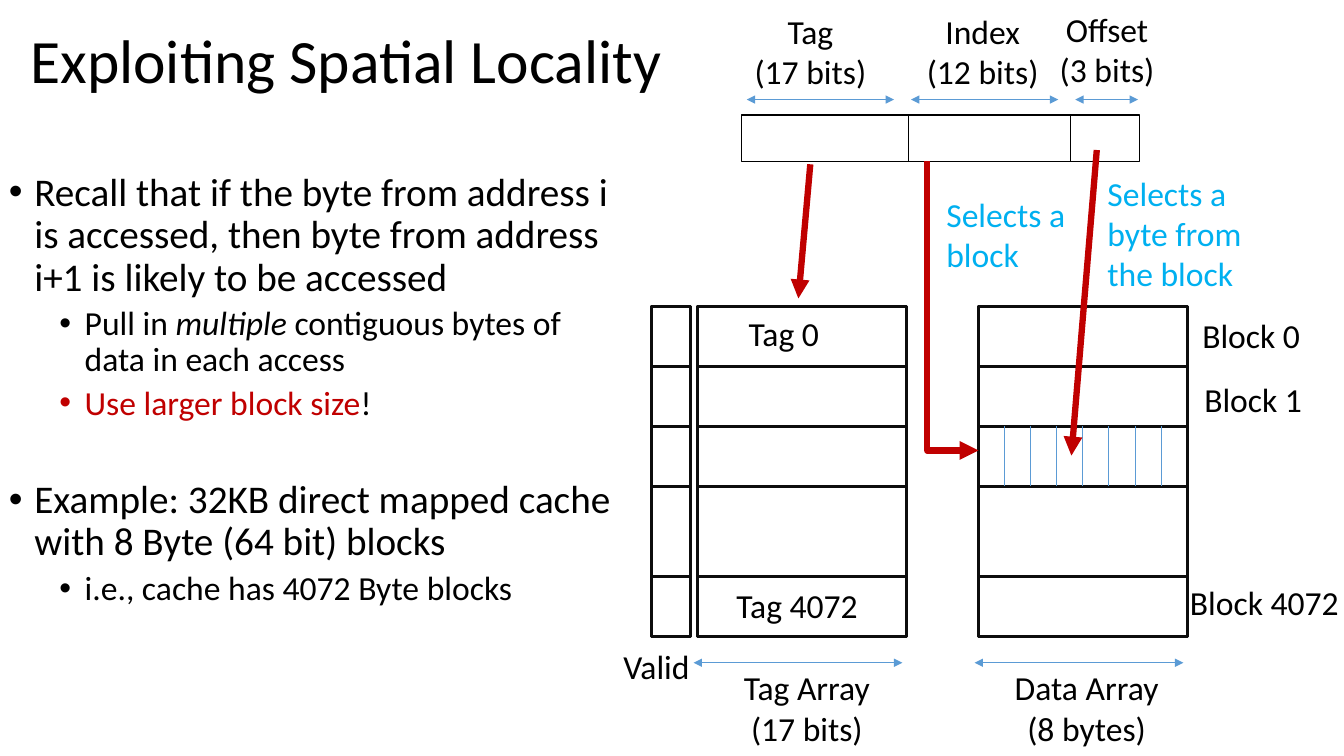
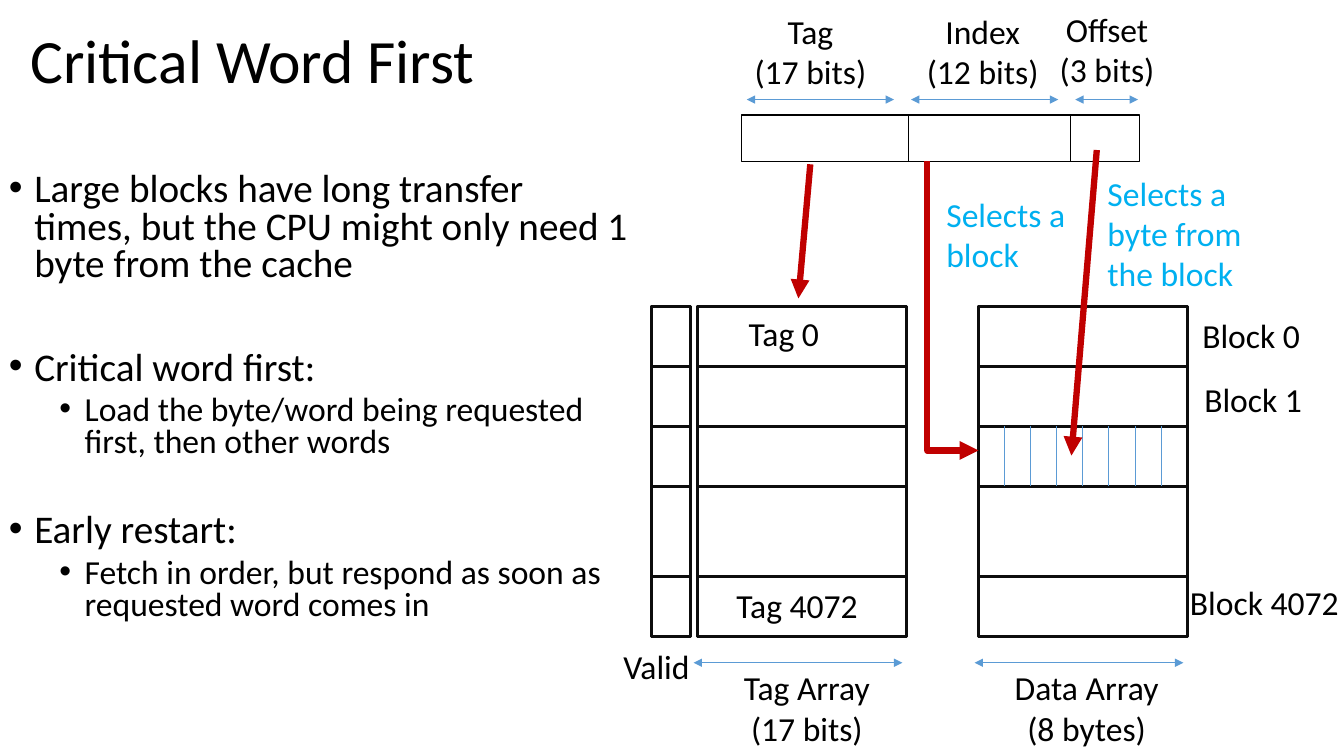
import pptx
import pptx.util
import pptx.dml.color
import pptx.enum.shapes
import pptx.enum.text
import pptx.oxml
import pptx.oxml.ns

Cm, Pt = pptx.util.Cm, pptx.util.Pt
SHAPES = pptx.enum.shapes
TEXT = pptx.enum.text

# Shared style
COLORS = {"text": "000000", "cell": "0D0D0D", "thin": "5B9BD5",
          "strong": "C00000", "note": "00B0F0"}
FONT = "Calibri"
TITLE_SIZE, LABEL_SIZE = 44, 24
# Per list level: size, space before in points, indent in cm
LEVELS = [(28, 10, 0.64), (24, 5, 1.91)]
HANGING = 0.64

# Slide content: (level, extra space before in points, [(text, emphasis)])
SLIDES = [
    {"title": "Exploiting Spatial Locality", "spacing": 0.9, "points": [
        (0, 0, [("Recall that if the byte from address i is accessed, then byte "
                 "from address i+1 is likely to be accessed", "")]),
        (1, 0, [("Pull in ", ""), ("multiple ", "italic"),
                ("contiguous bytes of data in each access", "")]),
        (1, 0, [("Use larger block size", "strong"), ("!", "")]),
        (0, 31, [("Example: 32KB direct mapped cache with 8 Byte (64 bit) blocks", "")]),
        (1, 0, [("i.e., cache has 4072 Byte blocks", "")]),
    ]},
    {"title": "Critical Word First", "spacing": 0.8, "points": [
        (0, 0, [("Large blocks have long transfer times, but the CPU might only "
                 "need 1 byte from the cache", "")]),
        (0, 37, [("Critical word first:", "")]),
        (1, 0, [("Load the byte/word being requested first, then other words", "")]),
        (0, 28, [("Early restart:", "")]),
        (1, 0, [("Fetch in order, but respond as soon as requested word comes in", "")]),
    ]},
]

# Diagram content, in cm: text, left, top, width, height
CAPTIONS = [
    ("Tag\n(17 bits)", 18.75, 0.15, 3.35, 2.31),
    ("Index\n(12 bits)", 23.09, 0.15, 3.35, 2.31),
    ("Offset\n(3 bits)", 26.44, 0.1, 2.92, 2.31),
    ("Tag Array\n(17 bits)", 18.47, 16.69, 3.73, 2.31),
    ("Data Array\n(8 bytes)", 25.3, 16.69, 4.17, 2.31),
    ("Valid", 15.44, 16.15, 2.21, 1.27),
]
ROW_LABELS = [
    ("Block 0", 30.05, 7.8, 3.3, 1.27),
    ("Block 1", 30.1, 9.42, 3.3, 1.27),
    ("Block 4072", 29.74, 14.55, 4.29, 1.27),
    ("Tag 0", 18.62, 7.75, 3.3, 1.27),
    ("Tag 4072", 18.31, 14.61, 3.94, 1.27),
]
NOTES = [
    ("Selects a byte from the block", 27.66, 4.22, 4.5, 3.33),
    ("Selects a block", 23.6, 4.75, 4.5, 2.31),
]
ADDRESS_FIELDS = [(18.69, 2.9, 10.03, 1.17), (22.89, 2.9, 4.09, 1.17)]
FIELD_SPANS, FIELD_SPAN_Y = [(18.82, 22.53), (22.96, 26.67), (27.1, 28.68)], 2.51
ARRAYS = {"valid": (16.41, 0.99), "tag": (17.58, 5.26), "data": (24.66, 5.26)}
ARRAY_TOP, ARRAY_HEIGHT, ROW_HEIGHT, ROW_PITCH = 7.72, 8.33, 1.52, 1.51
ARRAY_SPAN_Y = 16.7
BYTES_PER_BLOCK, FIRST_BYTE_X, BYTE_WIDTH = 8, 25.3, 0.66
LOOKUPS = [(20.42, 4.14, 20.12, 7.52), (27.64, 3.78, 27.0, 11.48)]
INDEX_LOOKUP = (23.37, 4.06, 24.66, 11.35)


def rgb(name):
    return pptx.dml.color.RGBColor.from_string(COLORS[name])


def style_run(run, size, color="text"):
    run.font.name, run.font.size = FONT, Pt(size)
    run.font.color.rgb = rgb(color)


def place(part, left, top, width, height):
    part.left, part.top, part.width, part.height = map(Cm, (left, top, width, height))


def add_bullet(paragraph, level):
    props = paragraph._p.get_or_add_pPr()
    props.set("marL", str(Cm(LEVELS[level][2])))
    props.set("indent", str(-Cm(HANGING)))
    ns = pptx.oxml.ns.nsdecls("a")
    props.append(pptx.oxml.parse_xml(f'<a:buFont {ns} typeface="Arial"/>'))
    props.append(pptx.oxml.parse_xml(f'<a:buChar {ns} char="•"/>'))


def fill_title(title, text):
    frame = title.text_frame
    frame.text = text
    frame.auto_size = TEXT.MSO_AUTO_SIZE.NONE
    frame.vertical_anchor = TEXT.MSO_ANCHOR.MIDDLE
    heading = frame.paragraphs[0]
    heading.alignment, heading.line_spacing = TEXT.PP_ALIGN.LEFT, 0.9
    style_run(heading.runs[0], TITLE_SIZE)


def fill_points(body, points, spacing):
    frame = body.text_frame
    frame.auto_size = TEXT.MSO_AUTO_SIZE.NONE
    for number, (level, gap, pieces) in enumerate(points):
        paragraph = frame.add_paragraph() if number else frame.paragraphs[0]
        size, before, _ = LEVELS[level]
        paragraph.level, paragraph.line_spacing = level, spacing
        paragraph.space_before = Pt(before + gap)
        add_bullet(paragraph, level)
        for text, emphasis in pieces:
            run = paragraph.add_run()
            run.text = text
            style_run(run, size, "strong" if emphasis == "strong" else "text")
            if emphasis == "italic":
                run.font.italic = True


def add_label(slide, text, left, top, width, height, color="text", centered=False):
    label = slide.shapes.add_textbox(*map(Cm, (left, top, width, height)))
    frame = label.text_frame
    frame.text = text
    frame.word_wrap = not centered
    frame.auto_size = TEXT.MSO_AUTO_SIZE.SHAPE_TO_FIT_TEXT
    for paragraph in frame.paragraphs:
        if centered:
            paragraph.alignment = TEXT.PP_ALIGN.CENTER
        for run in paragraph.runs:
            style_run(run, LABEL_SIZE, color)


def add_cell(slide, left, top, width, height, color="cell", weight=2.25):
    cell = slide.shapes.add_shape(SHAPES.MSO_SHAPE.RECTANGLE,
                                  *map(Cm, (left, top, width, height)))
    cell.shadow.inherit = False
    cell.fill.background()
    cell.line.color.rgb, cell.line.width = rgb(color), Pt(weight)


def add_line(slide, x1, y1, x2, y2, color="thin", weight=0.5, ends=(),
             kind=SHAPES.MSO_CONNECTOR.STRAIGHT):
    line = slide.shapes.add_connector(kind, *map(Cm, (x1, y1, x2, y2)))
    line.line.color.rgb, line.line.width = rgb(color), Pt(weight)
    ns = pptx.oxml.ns.nsdecls("a")
    props = line._element.spPr
    outline = props.find(pptx.oxml.ns.qn("a:ln"))
    for end in ends:
        outline.append(pptx.oxml.parse_xml(f'<a:{end} {ns} type="triangle"/>'))
    props.append(pptx.oxml.parse_xml(f"<a:effectLst {ns}/>"))
    return line


def add_corner_arrow(slide, x1, y1, x2, y2):
    """Runs down, then right: a one-corner elbow turned by 270 degrees."""
    mid_x, mid_y = (x1 + x2) / 2, (y1 + y2) / 2
    half_w, half_h = (y2 - y1) / 2, (x2 - x1) / 2
    arrow = add_line(slide, mid_x + half_w, mid_y - half_h, mid_x - half_w,
                     mid_y + half_h, "strong", 4.5, ["tailEnd"],
                     SHAPES.MSO_CONNECTOR.ELBOW)
    props = arrow._element.spPr
    props.find(pptx.oxml.ns.qn("a:xfrm")).set("rot", str(270 * 60000))
    props.find(pptx.oxml.ns.qn("a:prstGeom")).set("prst", "bentConnector2")


def draw_cache(slide):
    both_ends = ["headEnd", "tailEnd"]
    # Valid, tag and data arrays
    row_tops = [ARRAY_TOP + i * ROW_PITCH for i in range(3)]
    row_tops.append(ARRAY_TOP + ARRAY_HEIGHT - ROW_HEIGHT)
    for left, width in ARRAYS.values():
        add_cell(slide, left, ARRAY_TOP, width, ARRAY_HEIGHT)
        for top in row_tops:
            add_cell(slide, left, top, width, ROW_HEIGHT)
    for name in ("tag", "data"):
        left, width = ARRAYS[name]
        add_line(slide, left - 0.1, ARRAY_SPAN_Y, left + width - 0.1, ARRAY_SPAN_Y,
                 ends=both_ends)
    # Bytes of the selected block
    for i in range(BYTES_PER_BLOCK - 1):
        x = FIRST_BYTE_X + i * BYTE_WIDTH
        add_line(slide, x, row_tops[2], x, row_tops[2] + ROW_PITCH)
    # Address fields
    for field in ADDRESS_FIELDS:
        add_cell(slide, *field, color="text", weight=1)
    for start, end in FIELD_SPANS:
        add_line(slide, start, FIELD_SPAN_Y, end, FIELD_SPAN_Y, ends=both_ends)
    # Lookup arrows
    for lookup in LOOKUPS:
        add_line(slide, *lookup, "strong", 4.5, ["tailEnd"])
    add_corner_arrow(slide, *INDEX_LOOKUP)
    # Labels
    for caption in CAPTIONS:
        add_label(slide, *caption, centered=True)
    for label in ROW_LABELS:
        add_label(slide, *label)
    for note in NOTES:
        add_label(slide, *note, color="note")


# Build the deck
deck = pptx.Presentation()
deck.slide_width, deck.slide_height = Cm(33.87), Cm(19.05)
layout = deck.slide_layouts[1]
for content in SLIDES:
    slide = deck.slides.add_slide(layout)
    title, body = slide.shapes.title, slide.placeholders[1]
    place(title, 0.51, -0.25, 29.21, 3.68)
    place(body, -0.03, 4.22, 16.1, 12.09)
    fill_title(title, content["title"])
    fill_points(body, content["points"], content["spacing"])
    draw_cache(slide)
deck.save("out.pptx")
